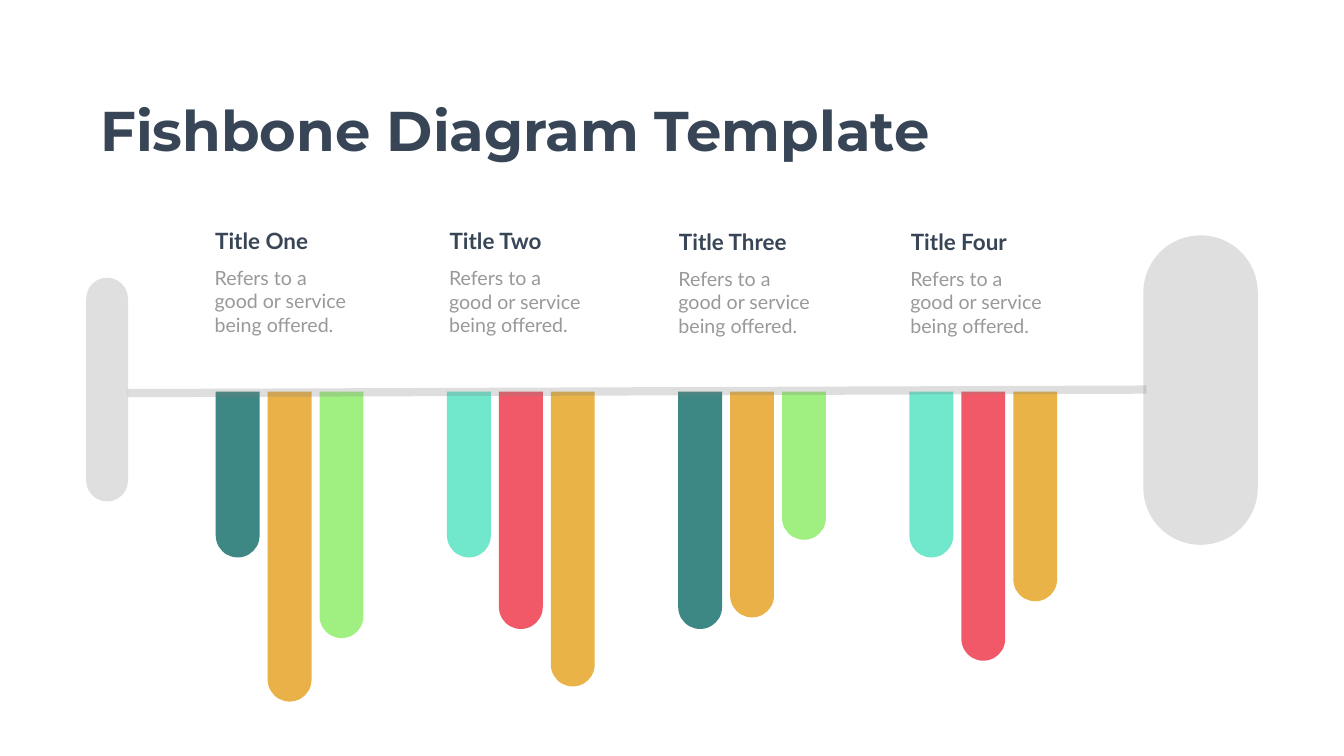
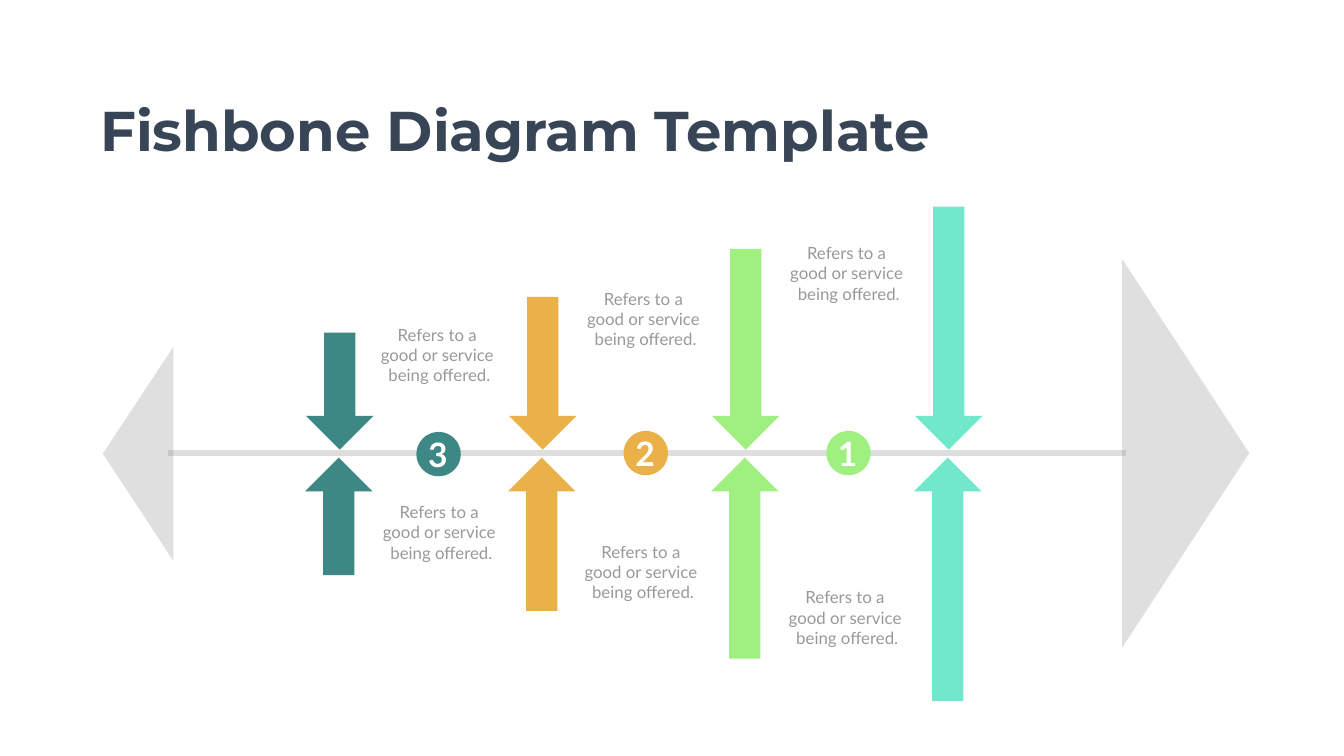
from pptx import Presentation
from pptx.dml.color import RGBColor
from pptx.enum.shapes import MSO_CONNECTOR, MSO_SHAPE
from pptx.enum.text import MSO_AUTO_SIZE, PP_ALIGN
from pptx.oxml.ns import qn
from pptx.util import Inches, Pt
from lxml import etree

LEFT, CENTER = PP_ALIGN.LEFT, PP_ALIGN.CENTER
GROW = MSO_AUTO_SIZE.SHAPE_TO_FIT_TEXT
STRAIGHT = MSO_CONNECTOR.STRAIGHT
BAR, PILL = MSO_SHAPE.ROUND_2_SAME_RECTANGLE, MSO_SHAPE.ROUNDED_RECTANGLE
SHAFT, OVAL = MSO_SHAPE.RECTANGLE, MSO_SHAPE.OVAL

COLORS = {
    "background": "FEFFFE", "heading": "374556", "body": "999999",
    "white": "FFFFFF", "bone": "808080", "teal": "3D8884", "amber": "EAB149",
    "gold": "E9B348", "green": "A0F081", "mint": "71E8CC", "red": "F15968",
}
TITLE = "Fishbone Diagram Template"
BODY = ["Refers to a", "good or service", "being offered."]
CENTERED_BODY = ["Refers to a ", "good or service ", "being offered."]

RIB_PITCH = 13.76 / 3
RIB_GROUPS = [
    ("Title One", (4.17, 4.46, 2.51, 0.64), (4.16, 5.22, 3.32, 1.51),
     [("teal", 3.29), ("amber", 6.15), ("green", 4.89)]),
    ("Title Two", (8.82, 4.45, 2.51, 0.64), (8.81, 5.23, 3.32, 1.51),
     [("mint", 3.29), ("red", 4.71), ("gold", 5.85)]),
    ("Title Three", (13.37, 4.47, 2.82, 0.64), (13.36, 5.24, 3.32, 1.51),
     [("teal", 4.71), ("amber", 4.48), ("green", 2.94)]),
    ("Title Four", (17.97, 4.47, 2.69, 0.64), (17.96, 5.24, 3.32, 1.51),
     [("mint", 3.29), ("red", 5.34), ("gold", 4.16)]),
]
ARROW_PITCH = 12.08 / 3
ARROW_PAIRS = [("teal", 6.6), ("amber", 5.89), ("green", 4.94), ("mint", 4.1)]
STAGES = [
    ("3", "teal", 8.26, 8.57, (7.13, 6.39), (7.17, 9.91)),
    ("2", "amber", 12.37, 8.55, (11.22, 5.67), (11.17, 10.7)),
    ("1", "green", 16.39, 8.55, (15.25, 4.77), (15.22, 11.6)),
]


def rgb(name):
    """Return the palette colour of that name."""
    return RGBColor.from_string(COLORS[name])


def make_translucent(sp):
    """Give the colours of a shape 25 percent opacity."""
    for color in sp._element.spPr.iter(qn("a:srgbClr")):
        etree.SubElement(color, qn("a:alpha")).set("val", "25000")


def paint(sp, color):
    """Fill a shape flatly, without outline or shadow."""
    sp.shadow.inherit = False
    sp.fill.solid()
    sp.fill.fore_color.rgb = rgb(color)
    sp.line.fill.background()


def add_block(slide, kind, box, color, adjustments=()):
    """Add a flat preset shape."""
    sp = slide.shapes.add_shape(kind, *map(Inches, box))
    for i, value in enumerate(adjustments):
        sp.adjustments[i] = value
    paint(sp, color)
    return sp


def add_triangle(slide, points, color):
    """Add a flat triangle through three points."""
    start, *others = [(Inches(x), Inches(y)) for x, y in points]
    builder = slide.shapes.build_freeform(*start)
    builder.add_line_segments(others)
    sp = builder.convert_to_shape()
    paint(sp, color)
    return sp


def add_arrow(slide, left, top, bottom, base, tip, color):
    """Add a vertical arrow: a shaft and a triangular head."""
    add_block(slide, SHAFT, (left, top, 0.62, bottom - top), color)
    middle = left + 0.31
    add_triangle(slide, [(middle + 0.67, base), (middle, tip),
                         (middle - 0.67, base)], color)


def add_spine(slide, start, end, width):
    """Add the translucent backbone line."""
    line = slide.shapes.add_connector(STRAIGHT, *map(Inches, start + end))
    line.line.color.rgb = rgb("bone")
    line.line.width = Pt(width)
    etree.SubElement(line._element.spPr, qn("a:effectLst"))
    make_translucent(line)


def add_text(slide, box, lines, size, color, bold=False, align=LEFT,
             font="Lato", wrap=True):
    """Add a text box with one paragraph per line."""
    tf = slide.shapes.add_textbox(*map(Inches, box)).text_frame
    tf.word_wrap = wrap
    tf.auto_size = GROW
    tf.text = "\n".join(lines)
    for p in tf.paragraphs:
        p.alignment = align
        p.font.name = font
        p.font.size = Pt(size)
        p.font.bold = bold
        p.font.color.rgb = rgb(color)


def add_slide(prs):
    """Add a blank slide with the shared background."""
    slide = prs.slides.add_slide(prs.slide_layouts[6])
    slide.background.fill.solid()
    slide.background.fill.fore_color.rgb = rgb("background")
    return slide


def add_title(slide):
    """Add the shared slide title."""
    add_text(slide, (1.89, 1.85, 16.71, 1.45), [TITLE], 80, "heading",
             bold=True, font="Montserrat", wrap=False)


def build_rib_slide(prs):
    """Build the fishbone with hanging ribs."""
    slide = add_slide(prs)
    for group, (_, _, _, ribs) in enumerate(RIB_GROUPS):
        for i, (color, height) in enumerate(ribs):
            left = 4.28 + RIB_PITCH * group + 1.03 * i
            add_block(slide, BAR, (left, 7.77, 0.87, height), color, (0, 0.5))
    add_spine(slide, (22.74, 7.73), (2.53, 7.8), 11.75)
    for box in ((22.68, 4.67, 2.27, 6.14), (1.71, 5.51, 0.83, 4.44)):
        make_translucent(add_block(slide, PILL, box, "bone", (0.5,)))
    for heading, heading_box, body_box, _ in RIB_GROUPS:
        add_text(slide, body_box, BODY, 28, "body")
        add_text(slide, heading_box, [heading], 32, "heading", bold=True)
    add_title(slide)


def build_arrow_slide(prs):
    """Build the fishbone with facing arrows and numbered stages."""
    slide = add_slide(prs)
    add_spine(slide, (3.33, 8.99), (22.33, 8.99), 8.25)
    for i, (color, top) in enumerate(ARROW_PAIRS):
        left = 6.43 + ARROW_PITCH * i
        add_arrow(slide, left, top, 8.27, 8.25, 8.92, color)
        add_arrow(slide, left - 0.02, 9.74, 18.01 - top, 9.75, 9.08, color)
    for points in ([(22.26, 5.14), (22.26, 12.85), (24.78, 8.99)],
                   [(3.44, 11.13), (3.44, 6.88), (2.04, 9)]):
        make_translucent(add_triangle(slide, points, "bone"))
    for number, color, left, top, above, below in STAGES:
        add_block(slide, OVAL, (left, top, 0.88, 0.88), color)
        for corner in (above, below):
            add_text(slide, corner + (3.17, 1.31), CENTERED_BODY, 24, "body",
                     align=CENTER)
        add_text(slide, (left + 0.12, top - 0.01, 0.61, 0.75), [number], 48,
                 "white", bold=True, align=CENTER)
    add_title(slide)


def main():
    """Build and save the presentation."""
    prs = Presentation()
    prs.slide_width, prs.slide_height = Inches(26.66), Inches(15)
    build_rib_slide(prs)
    build_arrow_slide(prs)
    prs.save("out.pptx")


if __name__ == "__main__":
    main()
